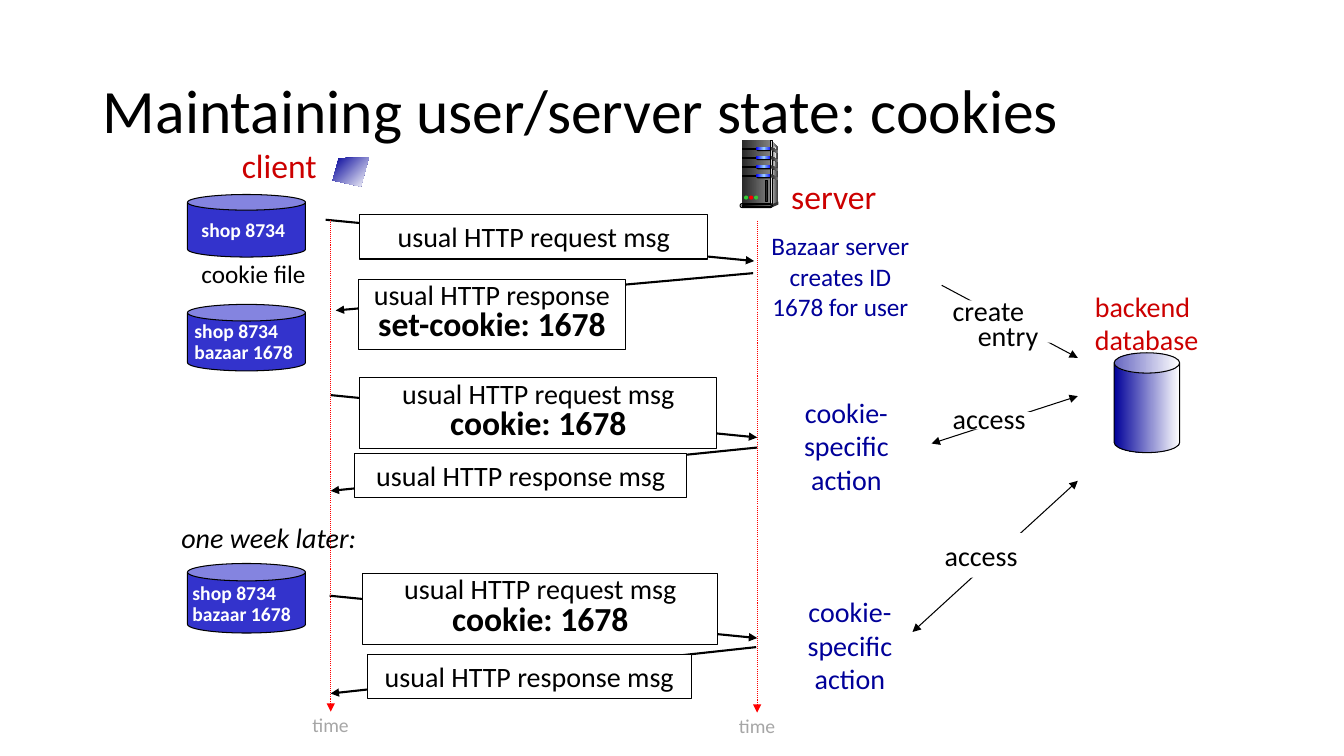
from dataclasses import dataclass

import pptx
import pptx.util
import pptx.dml.color
import pptx.enum.dml
import pptx.enum.shapes
import pptx.enum.text
import pptx.oxml
import pptx.oxml.ns

PX = 9144  # EMU in one px, 100 px to the inch
FONT = "Calibri"
COLORS = {"black": "000000", "white": "FFFFFF", "red": "CC0000", "navy": "000099",
          "can": "3333CC", "time": "FF0000", "gray": "A6A6A6", "silver": "DDDDDD",
          "dark": "333333", "coal": "292929", "steel": "808080", "pale": "F8F8F8",
          "blue": "0000FF", "sky": "99CCFF", "green": "33CC33", "lamp": "FF0000"}
SHAPE = pptx.enum.shapes.MSO_SHAPE
ALIGN = pptx.enum.text.PP_ALIGN
Box = tuple[int, int, int, int]


@dataclass
class Arrow:
    start: tuple[int, int]
    end: tuple[int, int]
    width: float = 1.5
    color: str = "black"
    both: bool = False
    dotted: bool = False


@dataclass
class Label:
    box: Box
    lines: tuple[str, ...]
    size: int = 20
    color: str = "black"
    centered: bool = False
    spacing: float = 1.0
    wrap: bool = False
    bold: bool = False
    italic: bool = False
    last_indent: int = 0


@dataclass
class Message:
    box: Box
    text: str
    header: str = ""


ARROWS = [
    Arrow((323, 218), (748, 259)), Arrow((747, 271), (333, 308)),
    Arrow((328, 392), (751, 434)), Arrow((751, 444), (328, 487)),
    Arrow((327, 591), (751, 633)), Arrow((750, 642), (328, 688)),
    Arrow((934, 283), (1069, 355), 0.75),
    Arrow((924, 440), (1069, 393), 0.75, both=True),
    Arrow((905, 627), (1069, 477), 0.75, both=True),
]
MASKS = [(953, 298, 123, 42), (957, 409, 81, 17), (927, 529, 112, 44)]
MESSAGES = [
    Message((357, 213, 345, 44), "usual HTTP request msg"),
    Message((356, 277, 264, 70), "usual HTTP response", "set-cookie: 1678"),
    Message((357, 375, 354, 70), "usual HTTP request msg", "cookie: 1678"),
    Message((352, 450, 329, 44), "usual HTTP response msg"),
    Message((360, 569, 352, 70), "usual HTTP request msg", "cookie: 1678"),
    Message((364, 649, 322, 44), "usual HTTP response msg"),
]
CANS = [(186, 193, 117, 62), (186, 302, 117, 66), (186, 559, 117, 69)]
ACTION = ("cookie-", "specific", "action")
COOKIES = ("shop 8734", "bazaar 1678")
LABELS = [
    Label((229, 139, 96, 50), ("client",), 24, "red", True),
    Label((774, 170, 106, 50), ("server",), 24, "red", True),
    Label((190, 251, 195, 40), ("cookie file",), 18, wrap=True),
    Label((170, 511, 198, 44), ("one week later:",), italic=True),
    Label((747, 224, 173, 101), ("Bazaar server", "creates ID", "1678 for user"),
          18, "navy", True),
    Label((776, 387, 127, 111), ACTION, color="navy", centered=True),
    Label((780, 585, 126, 111), ACTION, color="navy", centered=True),
    Label((935, 294, 150, 62), ("create", "entry"), spacing=0.75, wrap=True, last_indent=25),
    Label((935, 393, 113, 44), ("access",)),
    Label((927, 529, 112, 44), ("access",)),
    Label((1076, 282, 125, 77), ("backend", "database"), color="red"),
    Label((190, 211, 110, 34), COOKIES[:1], 14, "white", bold=True),
    Label((183, 314, 159, 53), COOKIES, 14, "white", spacing=0.9, wrap=True, bold=True),
    Label((181, 574, 152, 52), COOKIES, 14, "white", spacing=0.9, wrap=True, bold=True),
]
TIMELINES = [(328, 218), (751, 219)]


def rgb(name: str) -> pptx.dml.color.RGBColor:
    return pptx.dml.color.RGBColor.from_string(COLORS[name])


def paint(sp, fill: tuple[str, ...], line: bool = False, angle: int = 0) -> None:
    """Fill with one colour, or with evenly spaced gradient stops."""
    sp.shadow.inherit = False
    if len(fill) == 1:
        sp.fill.solid()
        sp.fill.fore_color.rgb = rgb(fill[0])
    else:
        sp.fill.gradient()
        grad = sp._element.spPr.find(pptx.oxml.ns.qn("a:gradFill"))
        stops = grad.find(pptx.oxml.ns.qn("a:gsLst"))
        for gs in list(stops):
            stops.remove(gs)
        for i, name in enumerate(fill):
            stops.append(pptx.oxml.parse_xml(
                f'<a:gs {pptx.oxml.ns.nsdecls("a")} pos="{i * 100000 // (len(fill) - 1)}">'
                f'<a:srgbClr val="{COLORS[name]}"/></a:gs>'))
        grad.find(pptx.oxml.ns.qn("a:lin")).set("ang", str(angle * 60000))
    if line:
        sp.line.color.rgb = rgb("black")
        sp.line.width = pptx.util.Pt(0.75)
    else:
        sp.line.fill.background()


def add_preset(s, kind, box: Box, *fill: str, line: bool = False, adj: float | None = None):
    sp = s.shapes.add_shape(kind, *(v * PX for v in box))
    if adj is not None:
        sp.adjustments[0] = adj
    paint(sp, fill, line)
    return sp


def add_outline(s, points: list[tuple[int, int]], *fill: str, angle: int = 0) -> None:
    fb = s.shapes.build_freeform(*points[0], scale=PX)
    fb.add_line_segments(points[1:], close=True)
    paint(fb.convert_to_shape(), fill, angle=angle)


def add_arrow(s, a: Arrow) -> None:
    cx = s.shapes.add_connector(pptx.enum.shapes.MSO_CONNECTOR.STRAIGHT,
                                *(v * PX for v in a.start + a.end))
    cx.line.color.rgb = rgb(a.color)
    cx.line.width = pptx.util.Pt(a.width)
    if a.dotted:
        cx.line.dash_style = pptx.enum.dml.MSO_LINE.ROUND_DOT
    ln = cx.line._get_or_add_ln()
    for tag in ("headEnd", "tailEnd") if a.both else ("tailEnd",):
        ln.append(pptx.oxml.parse_xml(
            f'<a:{tag} {pptx.oxml.ns.nsdecls("a")} type="triangle"/>'))
    cx._element.spPr.append(pptx.oxml.parse_xml(
        f'<a:effectLst {pptx.oxml.ns.nsdecls("a")}/>'))


def style(p, size: int, color: str, align, spacing: float, bold=False, italic=False) -> None:
    p.alignment = align
    p.line_spacing = spacing
    for r in p.runs:
        r.font.name, r.font.size = FONT, pptx.util.Pt(size)
        r.font.bold, r.font.italic = bold, italic
        r.font.color.rgb = rgb(color)


def fit(tf, wrap: bool) -> None:
    tf.word_wrap = wrap
    tf.auto_size = pptx.enum.text.MSO_AUTO_SIZE.SHAPE_TO_FIT_TEXT
    tf.vertical_anchor = pptx.enum.text.MSO_ANCHOR.TOP


def add_label(s, b: Label) -> None:
    tf = s.shapes.add_textbox(*(v * PX for v in b.box)).text_frame
    fit(tf, b.wrap)
    tf.text = "\n".join(b.lines)
    for p in tf.paragraphs:
        style(p, b.size, b.color, ALIGN.CENTER if b.centered else ALIGN.LEFT,
              b.spacing, b.bold, b.italic)
    if b.last_indent:
        tf.paragraphs[-1]._p.get_or_add_pPr().set("marL", str(b.last_indent * PX))


def add_message(s, m: Message) -> None:
    tf = add_preset(s, SHAPE.RECTANGLE, m.box, "white", line=True).text_frame
    fit(tf, True)
    tf.text = f"{m.text}\n{m.header}" if m.header else m.text
    spacing = 0.8 if m.header else 1.0
    style(tf.paragraphs[0], 20, "black", ALIGN.CENTER, spacing)
    for p in tf.paragraphs[1:]:
        style(p, 24, "black", ALIGN.CENTER, spacing, bold=True)


def add_server(s) -> None:
    add_outline(s, [(765, 139), (772, 147), (772, 200), (764, 203)], "silver", "dark")
    add_preset(s, SHAPE.RECTANGLE, (736, 139, 28, 64), "coal", "steel")
    add_outline(s, [(766, 143), (770, 148), (767, 175), (766, 201)], "steel", "pale")
    for y in range(146, 174, 9):
        add_preset(s, SHAPE.RECTANGLE, (736, y + 1, 16, 1), "black", line=True)
        add_preset(s, SHAPE.ROUNDED_RECTANGLE, (750, y, 16, 4), "black", adj=0.5)
        add_preset(s, SHAPE.ROUNDED_RECTANGLE, (750, y, 15, 3), "blue", "sky", "blue", adj=0.5)
    add_preset(s, SHAPE.RECTANGLE, (764, 139, 2, 64), "dark", "silver", "dark", line=True)
    for y in range(146, 174, 9):
        add_outline(s, [(765, y), (772, y + 4), (772, y + 6), (765, y + 3)], "coal", "steel")
    add_outline(s, [(765, 203), (765, 206), (772, 203), (772, 200)], "dark")
    add_preset(s, SHAPE.ROUNDED_RECTANGLE, (734, 202, 32, 4), "silver", line=True, adj=0.5)
    add_preset(s, SHAPE.ROUNDED_RECTANGLE, (736, 203, 29, 2), "black", "steel",
               line=True, adj=0.5)
    for i, lamp in enumerate(("green", "lamp", "green")):
        add_preset(s, SHAPE.OVAL, (738 + 5 * i, 194, 4, 4), lamp)
    add_preset(s, SHAPE.RECTANGLE, (759, 179, 2, 21), "coal", line=True)


def main() -> None:
    prs = pptx.Presentation()
    prs.slide_width, prs.slide_height = 1333 * PX, 750 * PX
    s = prs.slides.add_slide(prs.slide_layouts[5])
    title = s.shapes.title
    title.left, title.top, title.width, title.height = (v * PX for v in (92, 40, 1150, 145))
    tf = title.text_frame
    tf.text = "Maintaining user/server state: cookies"
    tf.auto_size = pptx.enum.text.MSO_AUTO_SIZE.NONE
    tf.vertical_anchor = pptx.enum.text.MSO_ANCHOR.MIDDLE
    style(tf.paragraphs[0], 44, "black", ALIGN.LEFT, 0.9)

    for arrow in ARROWS:
        add_arrow(s, arrow)
    for box in MASKS:
        add_preset(s, SHAPE.RECTANGLE, box, "white")
    for message in MESSAGES:
        add_message(s, message)
    for box in CANS:
        add_preset(s, SHAPE.CAN, box, "can", line=True, adj=0.25)
    for label in LABELS:
        add_label(s, label)
    add_preset(s, SHAPE.CAN, (1105, 350, 65, 99), "navy", "white", line=True, adj=0.31)
    add_server(s)
    add_outline(s, [(366, 156), (336, 157), (330, 179), (358, 185)], "navy", "white", angle=45)
    for x, y in TIMELINES:
        add_arrow(s, Arrow((x, y), (x, y + 488), 0.75, "time", dotted=True))
        add_label(s, Label((x - 28, y + 488, 57, 30), ("time",), 14, "gray", spacing=0.85))
    prs.save("out.pptx")


if __name__ == "__main__":
    main()
